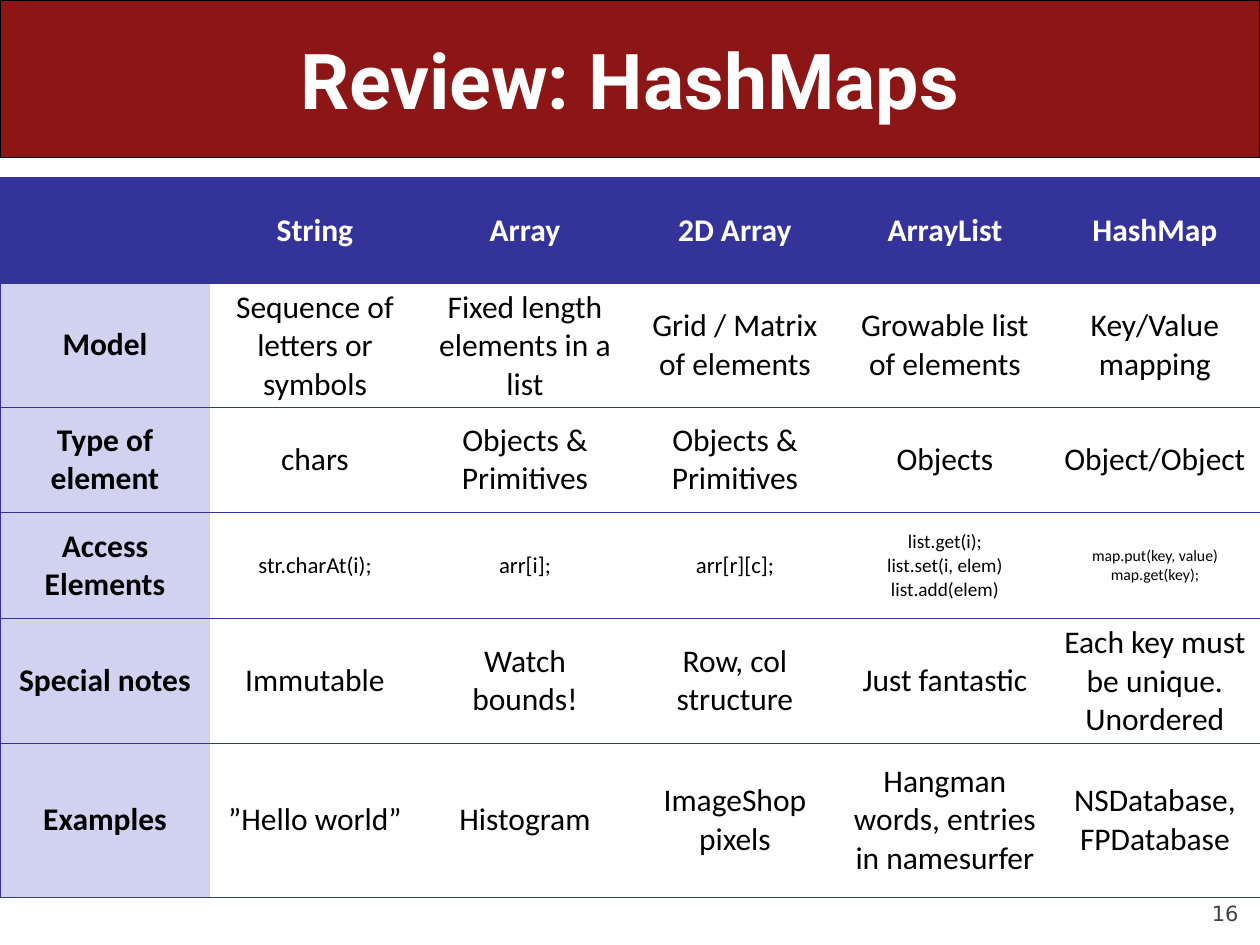
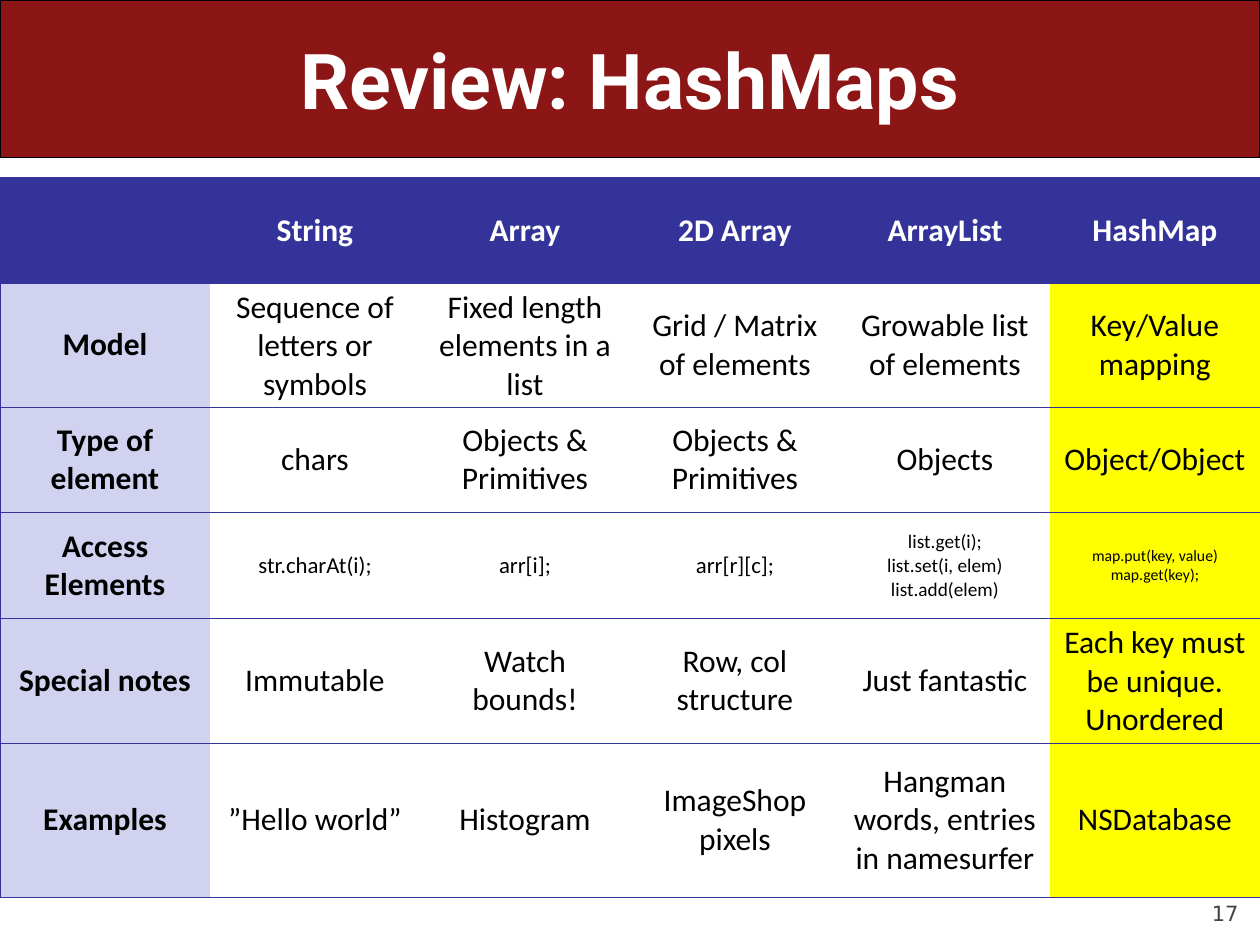
from lxml import etree
from pptx import Presentation
from pptx.dml.color import RGBColor
from pptx.enum.shapes import MSO_SHAPE as Shape
from pptx.enum.text import MSO_ANCHOR as Anchor, PP_ALIGN as Align
from pptx.oxml.ns import qn
from pptx.util import Inches, Pt

# Shared look
RED, BLUE, PALE, YELLOW = "8C1515", "333399", "D1D1F0", "FFFF00"
WHITE, BLACK, GREY = "FFFFFF", "000000", "424242"
HEIGHTS = [0.84, 0.98, 0.84, 0.84, 0.99, 1.22]
SIZES = [18, 13, 13, 13, 11, 9]  # sizes in the row of code

ROWS = [
    ["", "String", "Array", "2D Array", "ArrayList", "HashMap"],
    ["Model", "Sequence of letters or symbols", "Fixed length elements in a list",
     "Grid / Matrix of elements", "Growable list of elements", "Key/Value mapping"],
    ["Type of element", "chars", "Objects & Primitives", "Objects & Primitives",
     "Objects", "Object/Object"],
    ["Access Elements", "str.charAt(i);", "arr[i];", "arr[r][c];",
     "list.get(i);\nlist.set(i, elem)\nlist.add(elem)",
     "map.put(key, value)\nmap.get(key);"],
    ["Special notes", "Immutable", "Watch bounds!", "Row, col structure",
     "Just fantastic", "Each key must be unique. Unordered"],
    ["Examples", "”Hello world”", "Histogram", "ImageShop pixels",
     "Hangman words, entries in namesurfer"],
]
CODE = 3
LAST = len(ROWS) - 1

# Number, last example, fill of the HashMap column
SLIDES = [(16, "NSDatabase, FPDatabase", None), (17, "NSDatabase", YELLOW)]


def write(frame, text, font, size, color, bold=False, align=Align.CENTER):
    frame.text = text
    for para in frame.paragraphs:
        para.alignment = align
        for run in para.runs:
            run.font.name, run.font.size, run.font.bold = font, Pt(size), bold
            run.font.color.rgb = RGBColor.from_string(color)


def edge(cell, side, color):
    line = etree.SubElement(cell._tc.get_or_add_tcPr(), qn("a:ln" + side), w="6350")
    if color:
        fill = etree.SubElement(line, qn("a:solidFill"))
        etree.SubElement(fill, qn("a:srgbClr"), val=color)
    else:
        etree.SubElement(line, qn("a:noFill"))


prs = Presentation()
prs.slide_width, prs.slide_height = Inches(10), Inches(7.5)

for number, example, mark in SLIDES:
    slide = prs.slides.add_slide(prs.slide_layouts[5])
    shapes = slide.shapes

    # Title band, kept behind the title
    band = shapes.add_shape(Shape.ROUNDED_RECTANGLE, 0, 0, Inches(10), Inches(1.25))
    band.adjustments[0] = 0
    band.shadow.inherit = False
    band.fill.solid()
    band.fill.fore_color.rgb = RGBColor.from_string(RED)
    band.line.color.rgb = RGBColor.from_string(BLACK)
    band.line.width = Pt(0.75)
    shapes._spTree.insert(2, band._element)

    # Title
    title = shapes.title
    title.left, title.top = Inches(0.5), Inches(0)
    title.width, title.height = Inches(9), Inches(1.25)
    title.text_frame.vertical_anchor = Anchor.MIDDLE
    write(title.text_frame, "Review: HashMaps", "Roboto", 44, WHITE, True)

    # Slide number
    foot = shapes.add_textbox(Inches(9), Inches(6.95), Inches(0.83), Inches(0.4))
    frame = foot.text_frame
    frame.word_wrap = True
    frame.vertical_anchor = Anchor.BOTTOM
    frame.margin_left = frame.margin_right = frame.margin_top = frame.margin_bottom = 0
    write(frame, str(number), "DejaVu Sans", 12, GREY, align=Align.RIGHT)

    # Comparison table
    table = shapes.add_table(len(ROWS), 6, 0, Inches(1.41), Inches(10),
                             Inches(sum(HEIGHTS))).table
    table.horz_banding = False
    for col in table.columns:
        col.width = Inches(10 / 6)
    for r, row in enumerate(ROWS):
        table.rows[r].height = Inches(HEIGHTS[r])
        texts = row + [example] if r == LAST else row
        for c, text in enumerate(texts):
            cell = table.cell(r, c)
            cell.vertical_anchor = Anchor.MIDDLE
            cell.margin_left = cell.margin_right = Inches(0.07)
            cell.margin_top = cell.margin_bottom = Inches(0.04)
            head = r == 0
            write(cell.text_frame, text, "Calibri", SIZES[c] if r == CODE else 18,
                  WHITE if head else BLACK, head or c == 0)

            # Lines between rows and around the table only
            edge(cell, "L", BLUE if c == 0 else None)
            edge(cell, "R", BLUE if c == 5 else None)
            edge(cell, "T", BLUE)
            edge(cell, "B", BLUE)

            fill = BLUE if head else PALE if c == 0 else mark if c == 5 else None
            if fill:
                cell.fill.solid()
                cell.fill.fore_color.rgb = RGBColor.from_string(fill)
            else:
                cell.fill.background()

prs.save("out.pptx")
